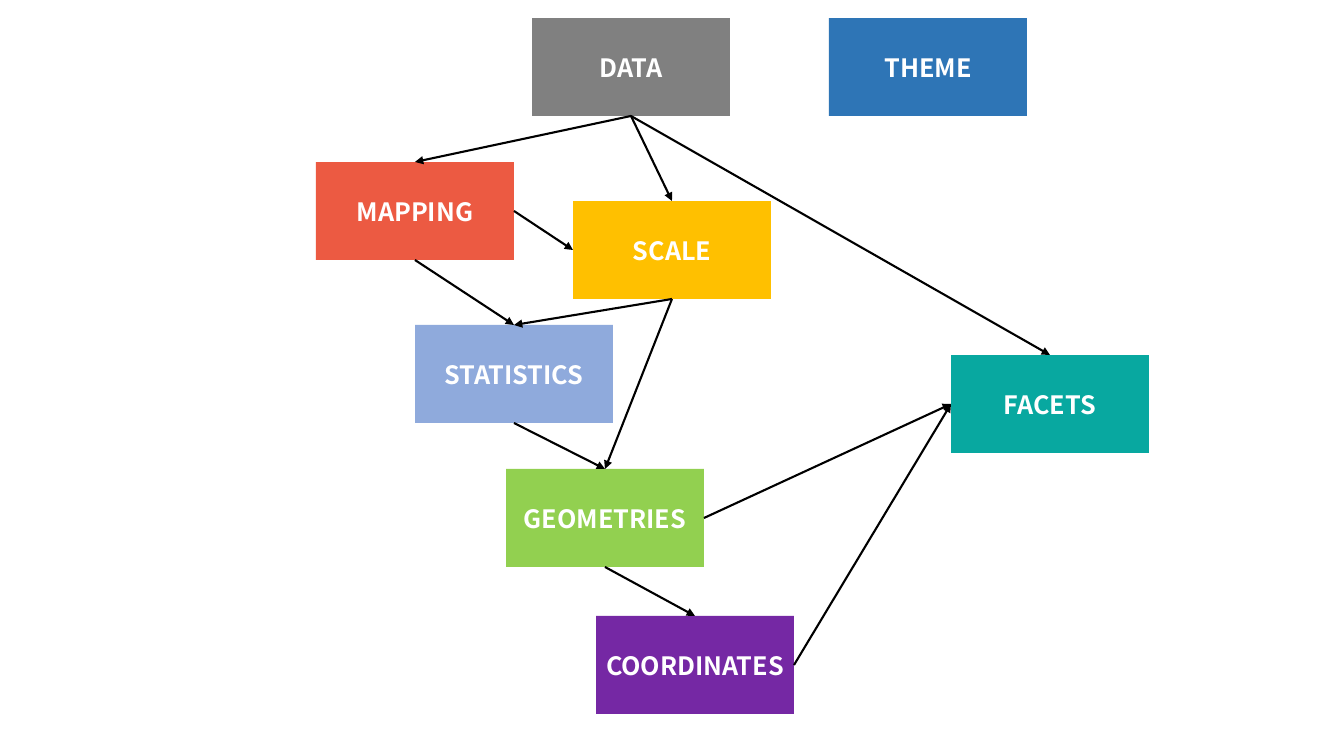
from dataclasses import dataclass

from lxml import etree
from pptx import Presentation
from pptx import util as u
from pptx.dml import color
from pptx.enum import shapes, text
from pptx.oxml import ns
from pptx.shapes import autoshape, connector
from pptx.slide import Slide

SCALE = 9071
WIDE, HIGH = 198, 98
TOP, LEFT, BOTTOM, RIGHT = range(4)


@dataclass(frozen=True)
class Theme:
    font: str = "Noto Sans CJK KR"
    size: int = 18
    ink: str = "FFFFFF"
    line: str = "000000"
    width: float = 1.5
    data: str = "808080"
    mapping: str = "EC5A42"
    scale: str = "FFC000"
    stats: str = "8FAADC"
    facets: str = "08A8A0"
    coords: str = "7528A4"
    geoms: str = "92D050"
    theme: str = "2E75B6"


@dataclass(frozen=True)
class Box:
    label: str
    left: int
    top: int
    fill: str


@dataclass(frozen=True)
class Arrow:
    start: str
    exit: int
    end: str
    entry: int


THEME = Theme()

BOXES = [
    Box("DATA", 532, 18, THEME.data),
    Box("MAPPING", 316, 162, THEME.mapping),
    Box("SCALE", 573, 201, THEME.scale),
    Box("STATISTICS", 415, 325, THEME.stats),
    Box("FACETS", 951, 355, THEME.facets),
    Box("COORDINATES", 596, 616, THEME.coords),
    Box("GEOMETRIES", 506, 469, THEME.geoms),
    Box("THEME", 829, 18, THEME.theme),
]

ARROWS = [
    Arrow("DATA", BOTTOM, "MAPPING", TOP),
    Arrow("DATA", BOTTOM, "SCALE", TOP),
    Arrow("MAPPING", BOTTOM, "STATISTICS", TOP),
    Arrow("SCALE", BOTTOM, "STATISTICS", TOP),
    Arrow("MAPPING", RIGHT, "SCALE", LEFT),
    Arrow("SCALE", BOTTOM, "GEOMETRIES", TOP),
    Arrow("STATISTICS", BOTTOM, "GEOMETRIES", TOP),
    Arrow("GEOMETRIES", BOTTOM, "COORDINATES", TOP),
    Arrow("GEOMETRIES", RIGHT, "FACETS", LEFT),
    Arrow("COORDINATES", RIGHT, "FACETS", LEFT),
    Arrow("DATA", BOTTOM, "FACETS", TOP),
]


def px(count: int) -> u.Emu:
    return u.Emu(count * SCALE)


def rgb(code: str) -> color.RGBColor:
    return color.RGBColor.from_string(code)


def write(shape: autoshape.Shape, words: str, *, size: int = THEME.size,
          ink: str = THEME.ink, bold: bool = True) -> None:
    frame = shape.text_frame
    frame.word_wrap = True
    frame.margin_left = frame.margin_right = px(5)
    frame.vertical_anchor = text.MSO_ANCHOR.MIDDLE
    para = frame.paragraphs[0]
    para.alignment = text.PP_ALIGN.CENTER
    run = para.add_run()
    run.text = words
    run.font.name = THEME.font
    run.font.size = u.Pt(size)
    run.font.bold = bold
    run.font.color.rgb = rgb(ink)


def draw_box(slide: Slide, box: Box) -> autoshape.Shape:
    shape = slide.shapes.add_shape(
        shapes.MSO_SHAPE.RECTANGLE,
        px(box.left), px(box.top), px(WIDE), px(HIGH))
    shape.shadow.inherit = False
    shape.fill.solid()
    shape.fill.fore_color.rgb = rgb(box.fill)
    shape.line.fill.background()
    write(shape, box.label)
    return shape


def draw_arrow(slide: Slide, arrow: Arrow,
               nodes: dict[str, autoshape.Shape]) -> connector.Connector:
    link = slide.shapes.add_connector(
        shapes.MSO_CONNECTOR.STRAIGHT, 0, 0, 0, 0)
    link.begin_connect(nodes[arrow.start], arrow.exit)
    link.end_connect(nodes[arrow.end], arrow.entry)
    link.line.color.rgb = rgb(THEME.line)
    link.line.width = u.Pt(THEME.width)
    props = link._element.spPr
    tail = etree.SubElement(props.find(ns.qn("a:ln")), ns.qn("a:tailEnd"))
    tail.set("type", "triangle")
    etree.SubElement(props, ns.qn("a:effectLst"))
    return link


def main() -> None:
    deck = Presentation()
    deck.slide_width, deck.slide_height = px(1344), px(756)
    slide = deck.slides.add_slide(deck.slide_layouts[6])
    nodes = {box.label: draw_box(slide, box) for box in BOXES}
    for arrow in ARROWS:
        draw_arrow(slide, arrow, nodes)
    deck.save("out.pptx")


if __name__ == "__main__":
    main()
